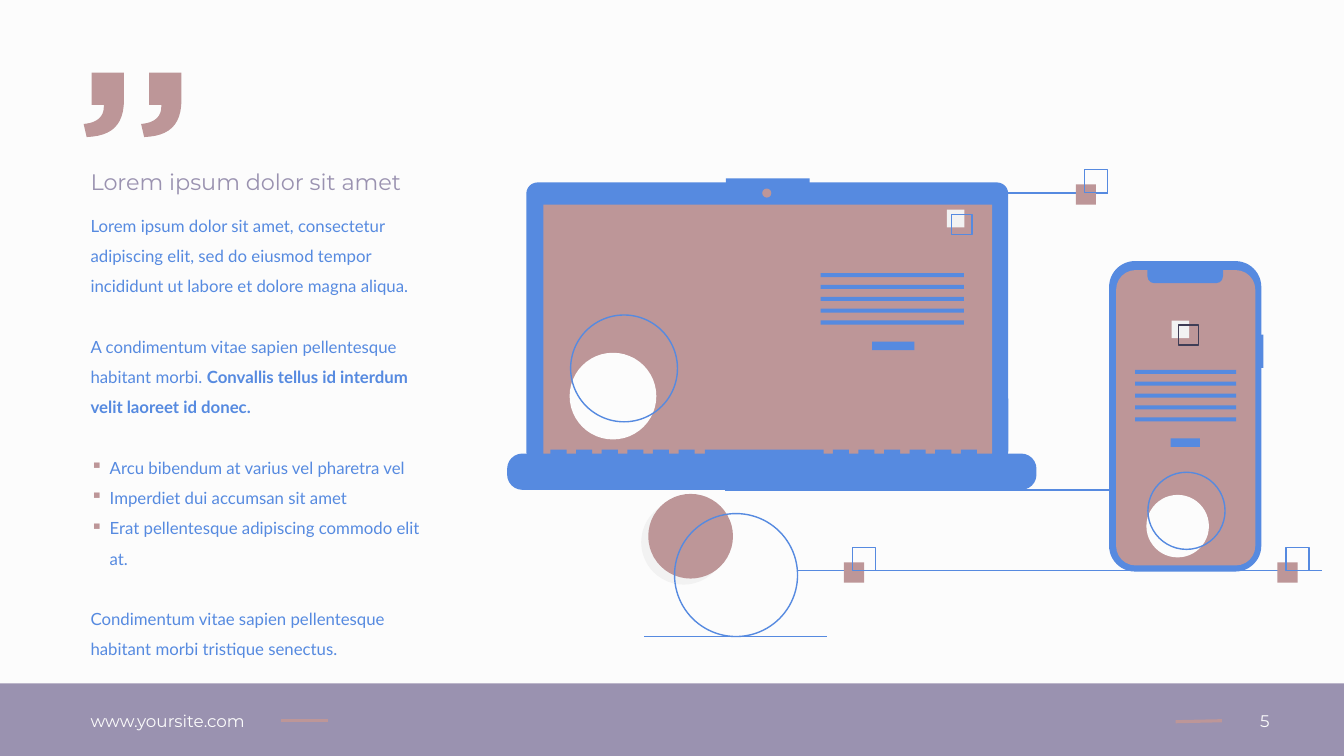
from lxml.etree import SubElement
from pptx import Presentation
from pptx.dml.color import RGBColor
from pptx.enum.shapes import MSO_CONNECTOR, MSO_SHAPE
from pptx.enum.text import MSO_ANCHOR, MSO_AUTO_SIZE, PP_ALIGN
from pptx.oxml.ns import qn
from pptx.util import Inches, Pt


class Theme:
    blue = RGBColor.from_string("568AE0")
    rose = RGBColor.from_string("BD9698")
    mauve = RGBColor.from_string("9A92B0")
    paper = RGBColor.from_string("FCFCFC")
    mist = RGBColor.from_string("F2F2F2")
    ink = RGBColor.from_string("3F3D56")
    head = "Montserrat"
    body = "Lato"
    big = Pt(16)
    small = Pt(12)
    gap = Pt(21.6)
    hair = Pt(1)
    rule = Pt(2.25)


deck = Presentation()
deck.slide_width = Inches(13.33)
deck.slide_height = Inches(7.5)
col = deck.slide_width / 1333
row = deck.slide_height / 750
slide = deck.slides.add_slide(deck.slide_layouts[6])
slide.background.fill.solid()
slide.background.fill.fore_color.rgb = Theme.paper
art = slide.shapes.add_group_shape()

RECT = MSO_SHAPE.RECTANGLE
OVAL = MSO_SHAPE.OVAL
ROUND = MSO_SHAPE.ROUNDED_RECTANGLE


def put(kind, x, y, w, h, fill=None, line=None, bend=()):
    shape = art.shapes.add_shape(
        kind, round(x * col), round(y * row), round(w * col), round(h * row))
    shape.shadow.inherit = False
    for i, turn in enumerate(bend):
        shape.adjustments[i] = turn
    if fill:
        shape.fill.solid()
        shape.fill.fore_color.rgb = fill
    else:
        shape.fill.background()
    if line:
        shape.line.color.rgb = line
        shape.line.width = Theme.hair
    else:
        shape.line.fill.background()


def write(x, y, w, h, lines, font, size, color, space=1.0):
    box = slide.shapes.add_textbox(
        round(x * col), round(y * row), round(w * col), round(h * row))
    frame = box.text_frame
    frame.word_wrap = True
    frame.text = "\n".join(line.split("|")[0] for line in lines)
    for para, line in zip(frame.paragraphs, lines):
        para.line_spacing = space
        for part in line.split("|")[1:]:
            run = para.add_run()
            run.text = part
            run.font.bold = True
        for run in para.runs:
            run.font.name = font
            run.font.size = size
            run.font.color.rgb = color
    return box


put(RECT, 0, 678, 1333, 72, Theme.mauve)
site = write(80, 695, 199, 40, ["www.yoursite.com"],
             Theme.head, Theme.small, Theme.paper)
page = write(1212, 695, 57, 40, ["5"], Theme.head, Theme.small, Theme.paper)
page.text_frame.paragraphs[0].alignment = PP_ALIGN.RIGHT
for box in (site, page):
    box.text_frame.vertical_anchor = MSO_ANCHOR.MIDDLE

body = write(80, 199, 347, 461, [
    "Lorem ipsum dolor sit amet, consectetur adipiscing elit, sed do eiusmod "
    "tempor incididunt ut labore et dolore magna aliqua.",
    "A condimentum vitae sapien pellentesque habitant morbi. "
    "|Convallis tellus id interdum velit laoreet id donec.",
    "Arcu bibendum at varius vel pharetra vel",
    "Imperdiet dui accumsan sit amet",
    "Erat pellentesque adipiscing commodo elit at.",
    "Condimentum vitae sapien pellentesque habitant morbi tristique senectus.",
], Theme.body, Theme.small, Theme.blue, 1.5)
paras = body.text_frame.paragraphs
for i in (1, 2, 5):
    paras[i].space_before = Theme.gap
for para in paras[2:5]:
    props = para._p.get_or_add_pPr()
    props.set("marL", str(round(19 * col)))
    props.set("indent", str(round(-19 * col)))
    tint = SubElement(props, qn("a:buClr"))
    SubElement(tint, qn("a:srgbClr")).set("val", str(Theme.rose))
    SubElement(props, qn("a:buChar")).set("char", "▪")
title = write(80, 157, 350, 40, ["Lorem ipsum dolor sit amet"],
              Theme.head, Theme.big, Theme.mauve, 1.2)
for box in (title, body):
    box.text_frame.auto_size = MSO_AUTO_SIZE.SHAPE_TO_FIT_TEXT

steps = [n / 12 for n in range(13)]
curves = [
    [(0, 51), (13, 50), (20, 44), (20, 34)],
    [(20, 32), (8, 32), (8, 0), (40, 0)],
    [(40, 27), (40, 53), (27, 63), (3, 64)],
]
edge = []
for i, (a, b, c, d) in enumerate(curves):
    if i == 1:
        edge += [a, b, c, d]
    else:
        edge += [tuple((1 - t) ** 3 * a[k] + 3 * (1 - t) ** 2 * t * b[k]
                       + 3 * (1 - t) * t ** 2 * c[k] + t ** 3 * d[k]
                       for k in (0, 1)) for t in steps]
for left in (83, 140):
    dots = [((left + x) * col, (72 + y) * row) for x, y in edge]
    pen = art.shapes.build_freeform(*dots[0])
    pen.add_line_segments(dots[1:])
    mark = pen.convert_to_shape()
    mark.shadow.inherit = False
    mark.fill.solid()
    mark.fill.fore_color.rgb = Theme.rose
    mark.line.fill.background()

put(OVAL, 636, 496, 84, 84, Theme.mist)
put(OVAL, 643, 490, 84, 84, Theme.rose)

wires = [
    (art, 719, 486, 1239, 486, Theme.blue, Theme.hair),
    (art, 919, 191.5, 1099, 191.5, Theme.blue, Theme.hair),
    (art, 791, 566, 1311, 566, Theme.blue, Theme.hair),
    (art, 639, 631.5, 820, 631.5, Theme.blue, Theme.hair),
    (slide, 279, 715, 325, 715, Theme.rose, Theme.rule),
    (slide, 1212, 715, 1166, 716, Theme.rose, Theme.rule),
]
for host, x, y, right, low, color, width in wires:
    wire = host.shapes.add_connector(
        MSO_CONNECTOR.STRAIGHT, round(x * col), round(y * row),
        round(right * col), round(low * row))
    wire.line.color.rgb = color
    wire.line.width = width
    SubElement(wire._element.spPr, qn("a:effectLst"))
    if x == 279:
        wire.begin_connect(site, 3)
    if x == 1212:
        wire.begin_connect(page, 1)

put(ROUND, 522, 181, 478, 278, Theme.blue, bend=[0.04])
put(RECT, 720, 177, 83, 5, Theme.blue)
put(RECT, 539, 203, 445, 251, Theme.rose)
put(OVAL, 756, 187, 9, 9, Theme.rose)
put(ROUND, 503, 450, 525, 36, Theme.blue, bend=[0.42])
put(RECT, 699, 446, 118, 5, Theme.blue)
for start in (546, 826):
    for i in range(6):
        put(RECT, start + i * 25.4, 446, 16, 5, Theme.blue)

put(ROUND, 1100, 259, 151, 308, Theme.blue, bend=[0.17])
put(RECT, 1250, 332, 3, 33, Theme.blue)
put(ROUND, 1107, 268, 138, 293, Theme.rose, bend=[0.14])
put(MSO_SHAPE.ROUND_2_SAME_RECTANGLE, 1138, 267, 75, 14, Theme.blue,
    bend=[0, 0.5])

for x, y, w, knob, wide in ((814, 271, 142, 865, 42), (1126, 367, 100, 1161, 29)):
    for i in range(5):
        put(RECT, x, y + i * 11.75, w, 4, Theme.blue)
    put(RECT, knob, y + 68, wide, 8.5, Theme.blue)

for x, y in ((837, 558), (1067, 183), (1267, 558)):
    put(RECT, x, y, 20, 20, Theme.rose)
    put(RECT, x + 8.5, y - 15, 23, 23, line=Theme.blue)
for x, y, dx, dy, line in ((939, 208, 5, 5, Theme.blue),
                           (1162, 318, 7, 4.5, Theme.ink)):
    put(RECT, x, y, 17.5, 17.5, Theme.mist)
    put(RECT, x + dx, y + dy, 20, 20, line=line)

for x, y, size in ((565, 350, 86), (1137, 491, 62)):
    put(OVAL, x, y, size, size, Theme.paper)
for x, y, size in ((566, 312.5, 106), (669, 509.5, 122), (1138.5, 468.5, 76.5)):
    put(OVAL, x, y, size, size, line=Theme.blue)

deck.save("out.pptx")
